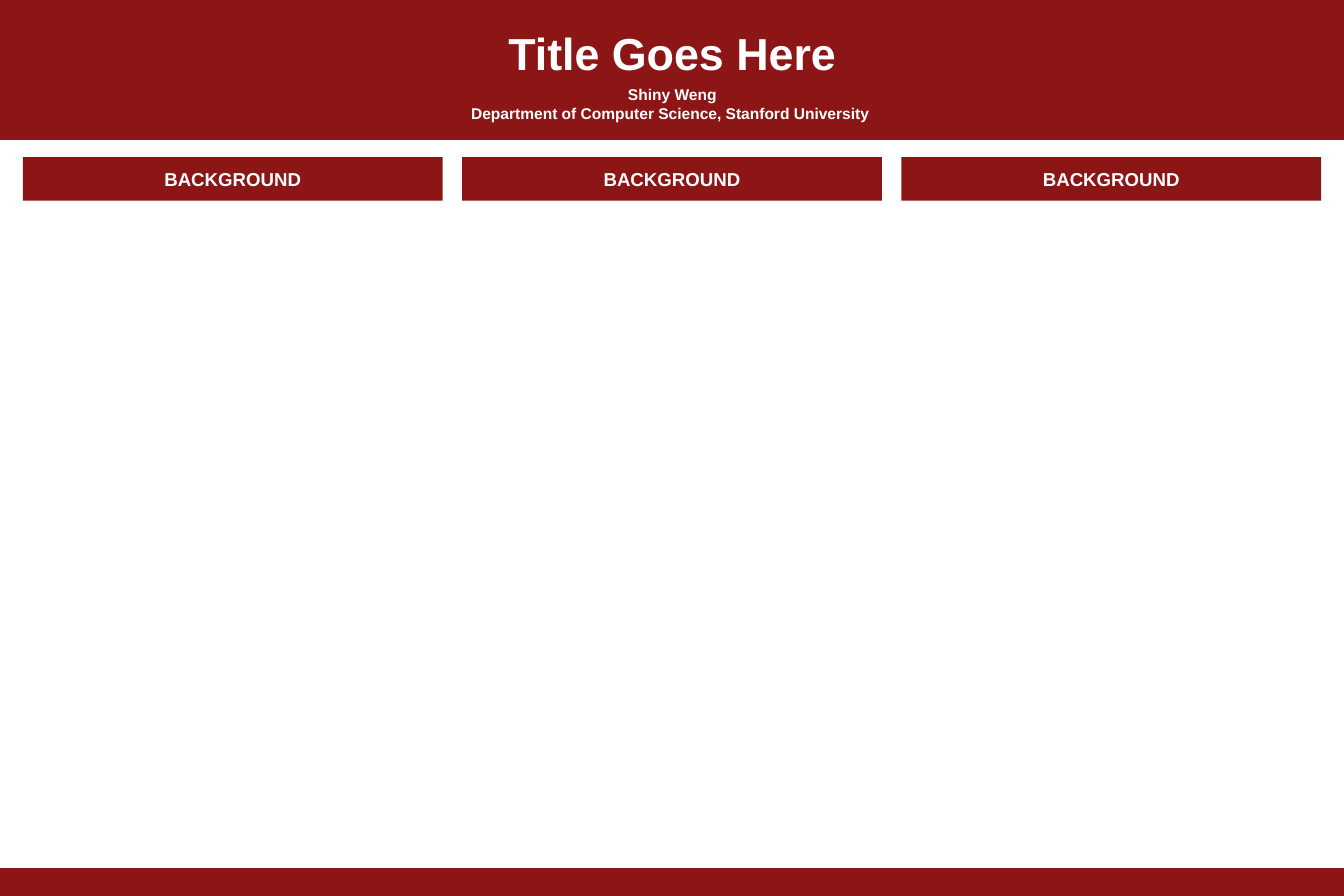
from dataclasses import dataclass

from pptx import Presentation
from pptx.dml.color import RGBColor
from pptx.enum.shapes import MSO_SHAPE
from pptx.enum.text import MSO_ANCHOR, MSO_AUTO_SIZE, PP_ALIGN
from pptx.util import Pt

PAGE_W, PAGE_H = 2160, 1440
HEADER_H, FOOTER_H = 224.64, 44.64
MARGIN, COLUMN_W = 36.72, 674.64
HEADING_TOP, HEADING_H = 252.72, 69.84
TITLE_LEFT, TITLE_W = 570.96, 1018.8


@dataclass(frozen=True)
class Theme:
    font: str = "Arial"
    band: RGBColor = RGBColor(0x8C, 0x15, 0x15)
    text: RGBColor = RGBColor(0xFF, 0xFF, 0xFF)
    title_size: int = 72
    author_size: int = 25
    heading_size: int = 30


def write(tf, text, *, theme, size, anchor=MSO_ANCHOR.TOP,
          inset_top=3.6, inset_bottom=3.6):
    tf.word_wrap = True
    tf.auto_size = MSO_AUTO_SIZE.NONE
    tf.vertical_anchor = anchor
    tf.margin_top, tf.margin_bottom = Pt(inset_top), Pt(inset_bottom)
    tf.text = text
    for p in tf.paragraphs:
        p.alignment = PP_ALIGN.CENTER
        p.line_spacing = 1.0
        p.space_before = p.space_after = Pt(0)
        for r in p.runs:
            r.font.name = theme.font
            r.font.size = Pt(size)
            r.font.bold = True
            r.font.color.rgb = theme.text


class Poster:
    def __init__(self, slide, theme):
        self.slide = slide
        self.theme = theme

    def band(self, left, top, width, height):
        sp = self.slide.shapes.add_shape(
            MSO_SHAPE.RECTANGLE, Pt(left), Pt(top), Pt(width), Pt(height))
        sp.shadow.inherit = False
        sp.fill.solid()
        sp.fill.fore_color.rgb = self.theme.band
        sp.line.fill.background()
        return sp

    def heading(self, text, left):
        sp = self.band(left, HEADING_TOP, COLUMN_W, HEADING_H)
        write(sp.text_frame, text, theme=self.theme,
              size=self.theme.heading_size, anchor=MSO_ANCHOR.MIDDLE)

    def placeholder(self, index, text, top, height, **style):
        sp = self.slide.placeholders[index]
        sp.left, sp.top = Pt(TITLE_LEFT), Pt(top)
        sp.width, sp.height = Pt(TITLE_W), Pt(height)
        write(sp.text_frame, text, theme=self.theme, **style)
        sp.element.getparent().append(sp.element)


def main():
    prs = Presentation()
    prs.slide_width, prs.slide_height = Pt(PAGE_W), Pt(PAGE_H)
    theme = Theme()
    poster = Poster(prs.slides.add_slide(prs.slide_layouts[0]), theme)

    poster.band(0, 0, PAGE_W, HEADER_H)
    poster.band(0, PAGE_H - FOOTER_H, PAGE_W, FOOTER_H)
    poster.placeholder(0, "Title Goes Here", 33.12, 94.32,
                       size=theme.title_size, inset_top=8, inset_bottom=3)
    poster.placeholder(
        1, "Shiny Weng\nDepartment of Computer Science, Stanford University ",
        131.76, 67.68, size=theme.author_size, inset_top=5)

    headings = ["BACKGROUND"] * 3
    step = (PAGE_W - 2 * MARGIN - COLUMN_W) / (len(headings) - 1)
    for i, text in enumerate(headings):
        poster.heading(text, MARGIN + i * step)

    prs.save("out.pptx")


if __name__ == "__main__":
    main()
